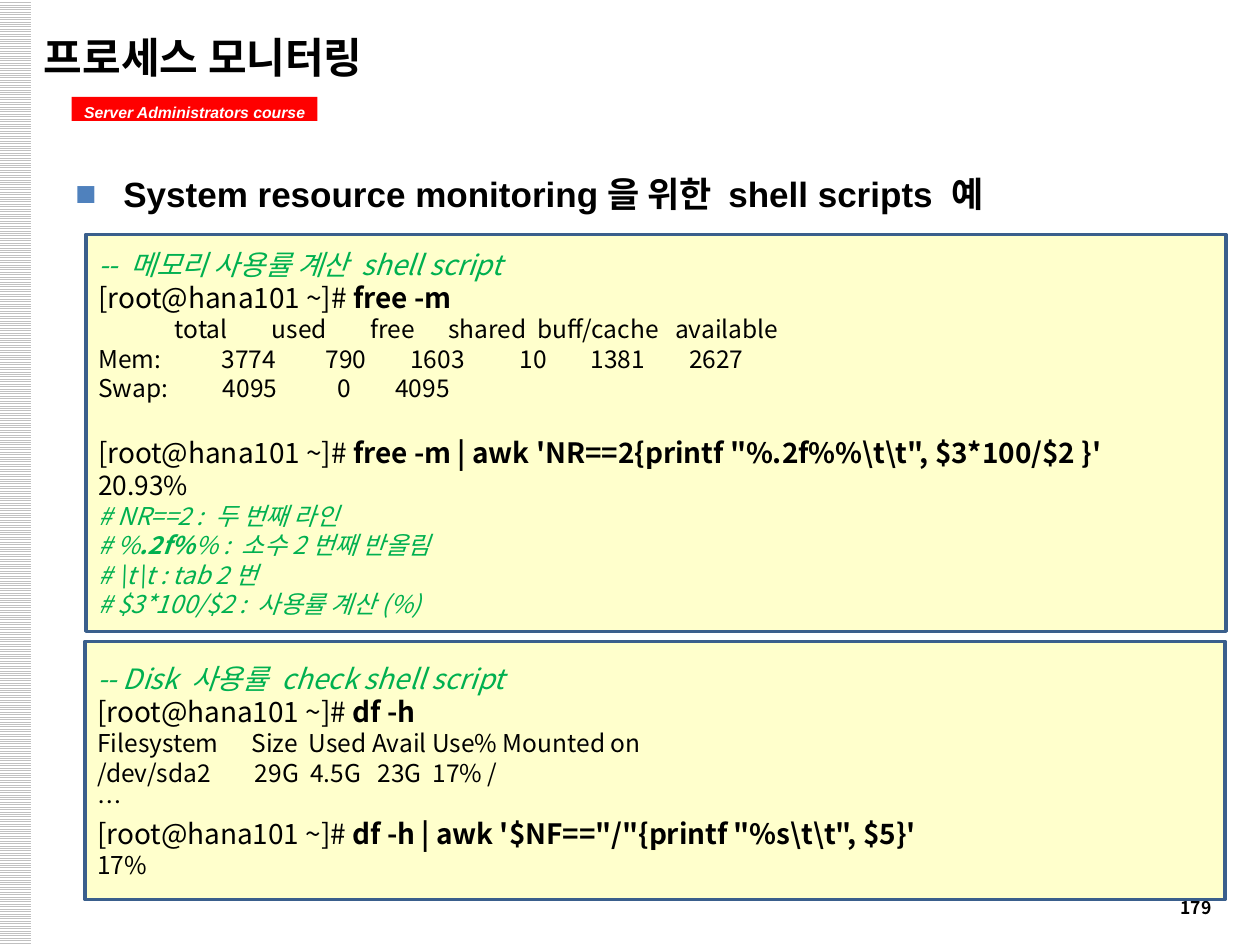
from lxml.etree import SubElement
from pptx import Presentation
from pptx.dml.color import RGBColor
from pptx.enum.dml import MSO_PATTERN
from pptx.enum.shapes import MSO_SHAPE
from pptx.enum.text import MSO_ANCHOR, PP_ALIGN
from pptx.oxml.ns import qn
from pptx.util import Pt

BLACK = RGBColor(0, 0, 0)
WHITE = RGBColor(255, 255, 255)
RED = RGBColor(255, 0, 0)
GREEN = RGBColor(0, 0xB0, 0x50)
SILVER = RGBColor(0xC0, 0xC0, 0xC0)
CREAM = RGBColor(255, 255, 0xCC)
NAVY = RGBColor(0x3A, 0x5F, 0x8C)
BULLET_BLUE = "4F81BD"
KOREAN = "Noto Sans CJK KR"

STYLES = {
    "title": dict(size=24, bold=True),
    "number": dict(size=10, bold=True),
    "banner": dict(size=9, bold=True, italic=True, color=WHITE, name="Arial"),
    "heading": dict(size=20, bold=True, name="Arial"),
    "caption": dict(size=16, italic=True, color=GREEN),
    "prompt": dict(size=16),
    "command": dict(size=16, bold=True),
    "output": dict(size=14),
    "result": dict(size=15),
    "note": dict(size=14, italic=True, color=GREEN),
    "strong note": dict(size=14, bold=True, italic=True, color=GREEN),
}


def command(text):
    return [("[root@hana101 ~]# ", "prompt"), (text, "command")]


def line(text, style="output"):
    return [(text, style)]


MEMORY_LINES = [
    line("-- 메모리 사용률 계산 shell script", "caption"),
    command("free -m"),
    line("              total        used        free      shared  buff/cache   available"),
    line("Mem:           3774         790        1603          10        1381        2627"),
    line("Swap:          4095           0        4095"),
    command(r"""free -m | awk 'NR==2{printf "%.2f%%\t\t", $3*100/$2 }'"""),
    line("20.93%", "result"),
    line("# NR==2 : 두 번째 라인", "note"),
    [("# %", "note"), (".2f%", "strong note"), ("% : 소수2번째 반올림", "note")],
    line(r"# \t\t : tab 2번", "note"),
    line("# $3*100/$2 : 사용률 계산(%)", "note"),
]
SECOND_COMMAND = 5
DISK_LINES = [
    line("-- Disk 사용률 check shell script", "caption"),
    command("df -h"),
    line("Filesystem      Size  Used Avail Use% Mounted on"),
    line("/dev/sda2        29G  4.5G   23G  17% /"),
    line("…"),
    command(r"""df -h | awk '$NF=="/"{printf "%s\t\t", $5}'"""),
    line("17%"),
]
# left, top, width, height, lines
PANELS = [
    (49, 134, 651.6, 226.8, MEMORY_LINES),
    (48.5, 366.5, 651.6, 147.6, DISK_LINES),
]


def write(shape, lines, **frame_format):
    frame = shape.text_frame
    frame.word_wrap = True
    for key, value in frame_format.items():
        setattr(frame, key, value)
    for index, spans in enumerate(lines):
        para = frame.paragraphs[0] if index == 0 else frame.add_paragraph()
        para.alignment = PP_ALIGN.LEFT
        for text, style in spans:
            span = para.add_run()
            span.text = text
            look = dict(dict(name=KOREAN, bold=False, italic=False, color=BLACK), **STYLES[style])
            span.font.color.rgb = look.pop("color")
            look["size"] = Pt(look["size"])
            for key, value in look.items():
                setattr(span.font, key, value)
            east_asian = SubElement(span.font._element, qn("a:ea"))
            east_asian.set("typeface", KOREAN)
    return frame.paragraphs


def add_box(page, left, top, width, height):
    return page.shapes.add_textbox(Pt(left), Pt(top), Pt(width), Pt(height))


def add_rectangle(page, left, top, width, height, fill=None, line_color=None):
    shape = page.shapes.add_shape(
        MSO_SHAPE.RECTANGLE, Pt(left), Pt(top), Pt(width), Pt(height))
    shape.shadow.inherit = False
    if fill is not None:
        shape.fill.solid()
        shape.fill.fore_color.rgb = fill
    if line_color is None:
        shape.line.fill.background()
    else:
        shape.line.color.rgb = line_color
        shape.line.width = Pt(2)
    return shape


def add_bullet(para, indent):
    properties = para._p.get_or_add_pPr()
    properties.set("marL", str(Pt(indent)))
    properties.set("indent", str(-Pt(indent)))
    color = SubElement(properties, qn("a:buClr"))
    SubElement(color, qn("a:srgbClr")).set("val", BULLET_BLUE)
    SubElement(properties, qn("a:buFont")).set("typeface", "Arial")
    SubElement(properties, qn("a:buChar")).set("char", "■")


def main():
    deck = Presentation()
    deck.slide_width, deck.slide_height = Pt(720), Pt(540)
    page = deck.slides.add_slide(deck.slide_layouts[6])

    stripe = add_rectangle(page, -0.7, 0, 18.7, 540)
    stripe.fill.patterned()
    stripe.fill.pattern = MSO_PATTERN.LIGHT_HORIZONTAL
    stripe.fill.fore_color.rgb = SILVER
    stripe.fill.back_color.rgb = WHITE

    write(add_box(page, 667.5, 509, 52.5, 22), [line("179", "number")])

    banner = add_rectangle(page, 41, 55.4, 140.4, 13.7, RED)
    banner_paras = write(banner, [line("Server Administrators course", "banner")],
                         word_wrap=False, vertical_anchor=MSO_ANCHOR.TOP, margin_bottom=0)
    banner_paras[0].alignment = PP_ALIGN.CENTER

    write(add_box(page, 18, 10.8, 666, 43.2), [line("프로세스 모니터링", "title")],
          vertical_anchor=MSO_ANCHOR.MIDDLE)

    heading = add_box(page, 36, 82.8, 653, 48)
    para = write(heading, [line("System resource monitoring을 위한 shell scripts 예", "heading")])[0]
    para.line_spacing = 1.5
    add_bullet(para, 27.4)

    for *place, lines in PANELS:
        panel = add_rectangle(page, *place, CREAM, NAVY)
        paras = write(panel, lines, vertical_anchor=MSO_ANCHOR.MIDDLE)
        if lines is MEMORY_LINES:
            paras[SECOND_COMMAND].space_before = Pt(19)

    deck.save("out.pptx")


if __name__ == "__main__":
    main()
